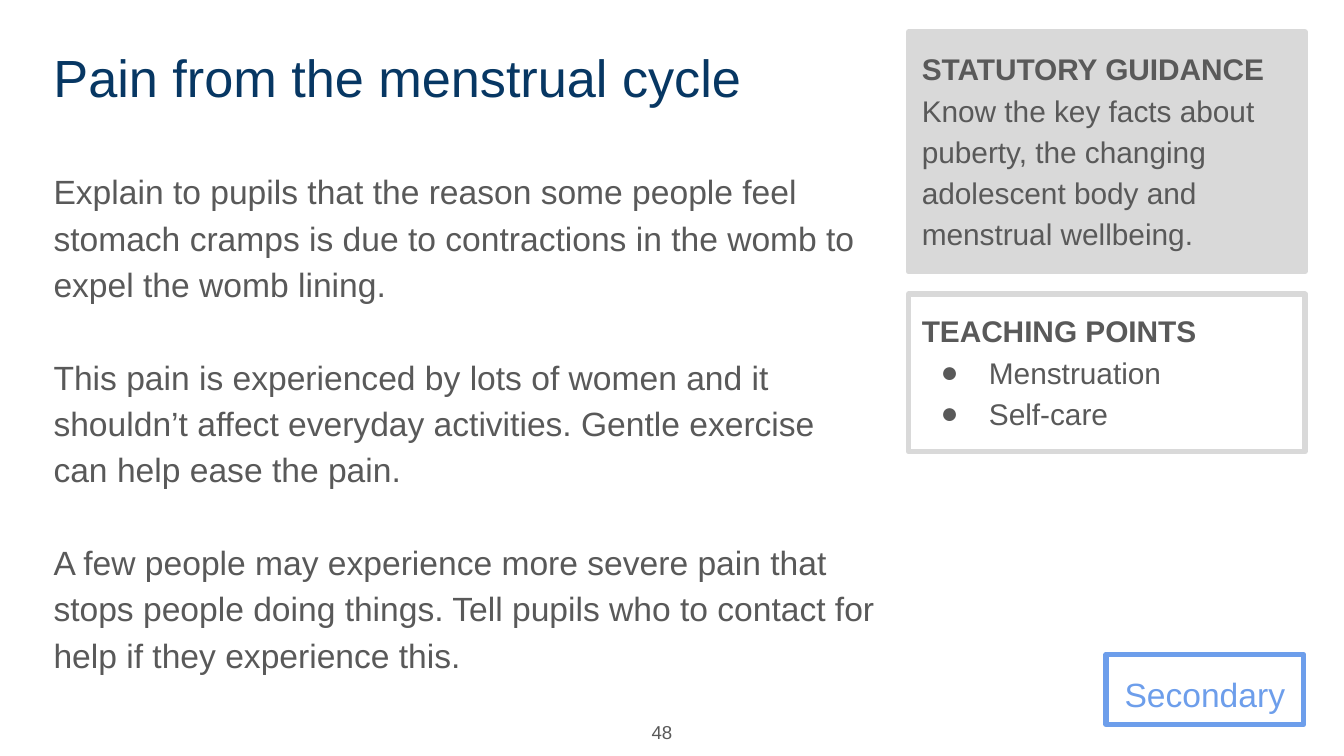
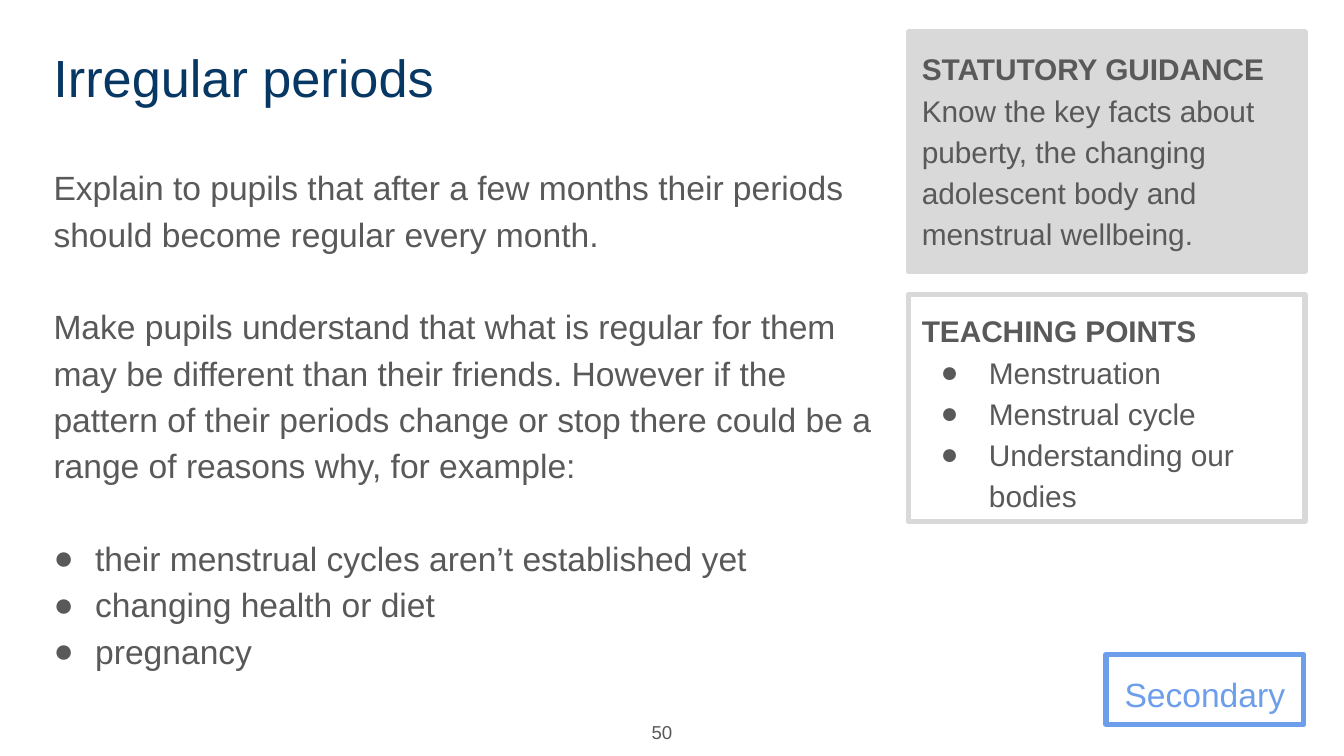
import pptx
import pptx.dml.color
import pptx.enum.shapes
import pptx.enum.text
import pptx.oxml.ns
import pptx.util
from lxml import etree

PX = 4572  # EMU per px, 200 px to the inch
FONT = "Arial"
NAVY, GREY, SILVER, BLUE = "073763", "595959", "D9D9D9", "6D9EEB"
LINE_SPACING = 1.15
LINE_GAP = 24.8
MARGIN, TOP, SIDE_LEFT, SIDE_WIDTH = 60, 48, 1352, 590
ALIGN = pptx.enum.text.PP_ALIGN
ANCHOR = pptx.enum.text.MSO_ANCHOR


def rgb(code):
    return pptx.dml.color.RGBColor.from_string(code)


def add_xml(parent, tag, **attributes):
    return etree.SubElement(parent, pptx.oxml.ns.qn(tag), attributes)


class Deck:
    def __init__(self):
        self.prs = pptx.Presentation()
        self.prs.slide_width = 2000 * PX
        self.prs.slide_height = 1125 * PX
        self.s = None

    def new_slide(self):
        self.s = self.prs.slides.add_slide(self.prs.slide_layouts[6])

    def text_box(self, *box):
        return self.s.shapes.add_textbox(*(n * PX for n in box))

    def frame(self, *box, line, fill=None):
        sp = self.s.shapes.add_shape(
            pptx.enum.shapes.MSO_SHAPE.RECTANGLE, *(n * PX for n in box))
        sp.shadow.inherit = False
        if fill:
            sp.fill.solid()
            sp.fill.fore_color.rgb = rgb(fill)
        else:
            sp.fill.background()
        sp.line.color.rgb = rgb(line)
        sp.line.width = pptx.util.Pt(3)
        add_xml(sp._element.spPr.find(pptx.oxml.ns.qn("a:ln")), "a:round")
        return sp

    def set_text(self, sp, paragraphs, size, color=GREY, align=ALIGN.LEFT,
                 anchor=ANCHOR.TOP, spacing=LINE_SPACING):
        tf = sp.text_frame
        tf.word_wrap = True
        tf.vertical_anchor = anchor
        tf.margin_left = tf.margin_right = 20 * PX
        tf.margin_top = tf.margin_bottom = 20 * PX
        tf.text = "\n".join(paragraphs)
        for p in tf.paragraphs:
            p.alignment = align
            p.line_spacing = spacing
            for r in p.runs:
                r.font.name = FONT
                r.font.size = pptx.util.Pt(size)
                r.font.color.rgb = rgb(color)
        return tf.paragraphs

    def bullet(self, p, left, hanging):
        pPr = p._p.get_or_add_pPr()
        pPr.set("marL", str(left * PX))
        pPr.set("indent", str(-hanging * PX))
        add_xml(add_xml(pPr, "a:buClr"), "a:srgbClr", val=GREY)
        add_xml(pPr, "a:buFont", typeface=FONT)
        add_xml(pPr, "a:buChar", char="●")

    def title(self, text):
        self.set_text(self.text_box(MARGIN, TOP, 1320, 126), [text], 28, NAVY,
                      spacing=1.0)

    def body(self, top, height, paragraphs, bullets=()):
        """Paragraphs one blank line apart, then an optional tight list."""
        ps = self.set_text(self.text_box(MARGIN, top, 1264, height),
                           [*paragraphs, *bullets], 18)
        for i, p in enumerate(ps):
            if 0 < i <= len(paragraphs):
                p.space_before = pptx.util.Pt(LINE_GAP)
            if i >= len(paragraphs):
                self.bullet(p, 62, 62)

    def card(self, top, height, heading, lines, fill=None, bulleted=False):
        """Side panel with a bold heading."""
        sp = self.frame(SIDE_LEFT, top, SIDE_WIDTH, height, line=SILVER, fill=fill)
        first, *rest = self.set_text(sp, [heading, *lines], 16)
        first.runs[0].font.bold = True
        if bulleted:
            for p in rest:
                self.bullet(p, 100, 72)

    def stage_tag(self, text):
        sp = self.frame(1646, 974, 294, 104, line=BLUE)
        self.set_text(sp, [text], 18, BLUE, ALIGN.CENTER)

    def page_number(self, number):
        self.set_text(self.text_box(918, 1052, 102, 74), [str(number)], 10,
                      align=ALIGN.RIGHT, anchor=ANCHOR.MIDDLE, spacing=1.0)

    def lesson(self, title, number, points, points_height):
        """Everything the lesson slides share."""
        self.new_slide()
        self.stage_tag("Secondary")
        self.title(title)
        self.card(TOP, 356, "STATUTORY GUIDANCE",
                  ["Know the key facts about puberty, the changing "
                   "adolescent body and menstrual wellbeing."], fill=SILVER)
        self.card(438, points_height, "TEACHING POINTS", points, bulleted=True)
        self.page_number(number)


def main():
    deck = Deck()

    deck.lesson("Pain from the menstrual cycle", 48,
                ["Menstruation", "Self-care"], 234)
    deck.body(226, 824, [
        "Explain to pupils that the reason some people feel stomach cramps is "
        "due to contractions in the womb to expel the womb lining.",
        "This pain is experienced by lots of women and it shouldn’t affect "
        "everyday activities. Gentle exercise can help ease the pain.",
        "A few people may experience more severe pain that stops people doing "
        "things. Tell pupils who to contact for help if they experience this.",
    ])

    deck.lesson("Irregular periods", 50,
                ["Menstruation", "Menstrual cycle", "Understanding our bodies"], 338)
    deck.body(220, 714, [
        "Explain to pupils that after a few months their periods should become "
        "regular every month.",
        "Make pupils understand that what is regular for them may be different "
        "than their friends. However if the pattern of their periods change or "
        "stop there could be a range of reasons why, for example:",
    ], ["their menstrual cycles aren’t established yet",
        "changing health or diet", "pregnancy"])

    deck.prs.save("out.pptx")


if __name__ == "__main__":
    main()
